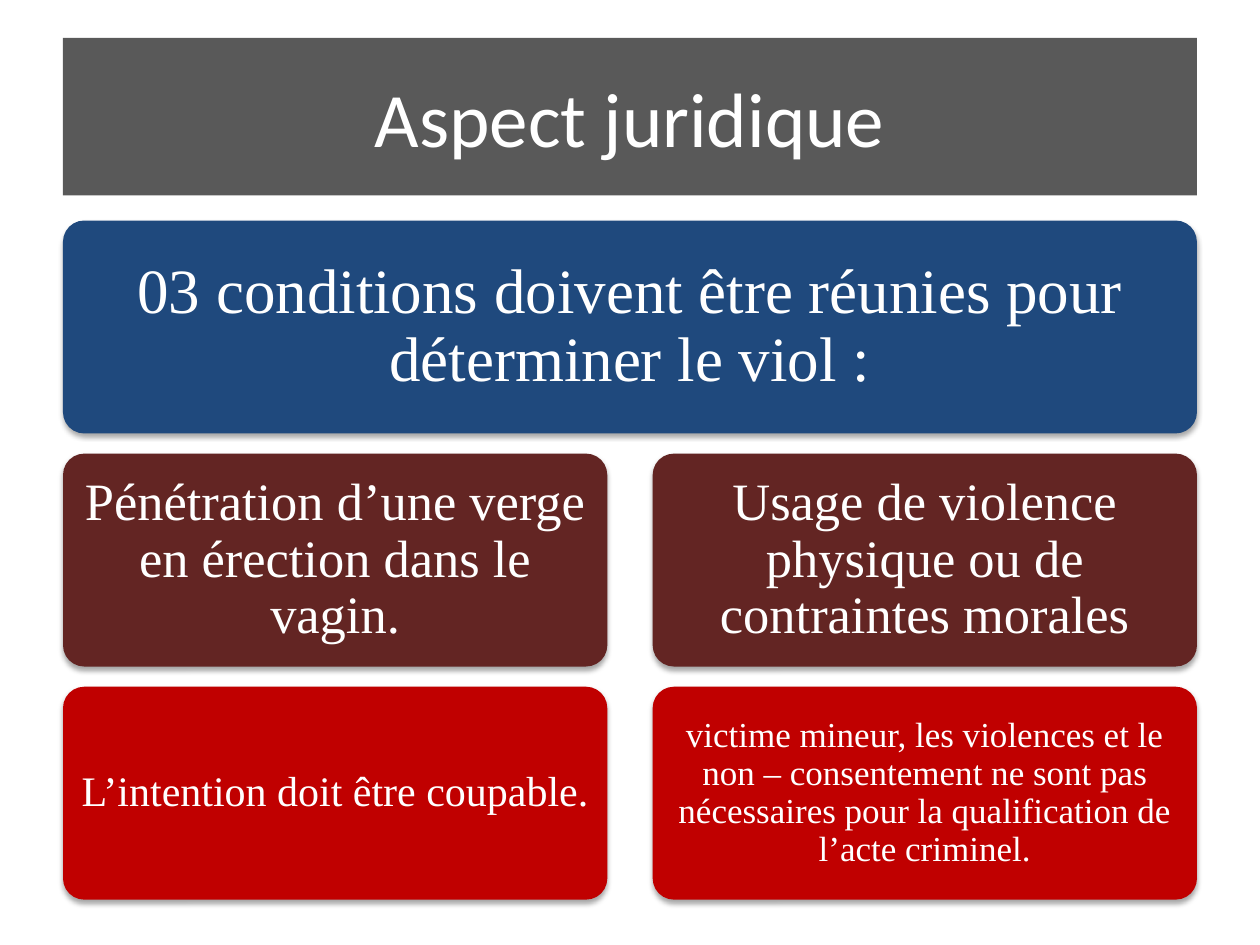
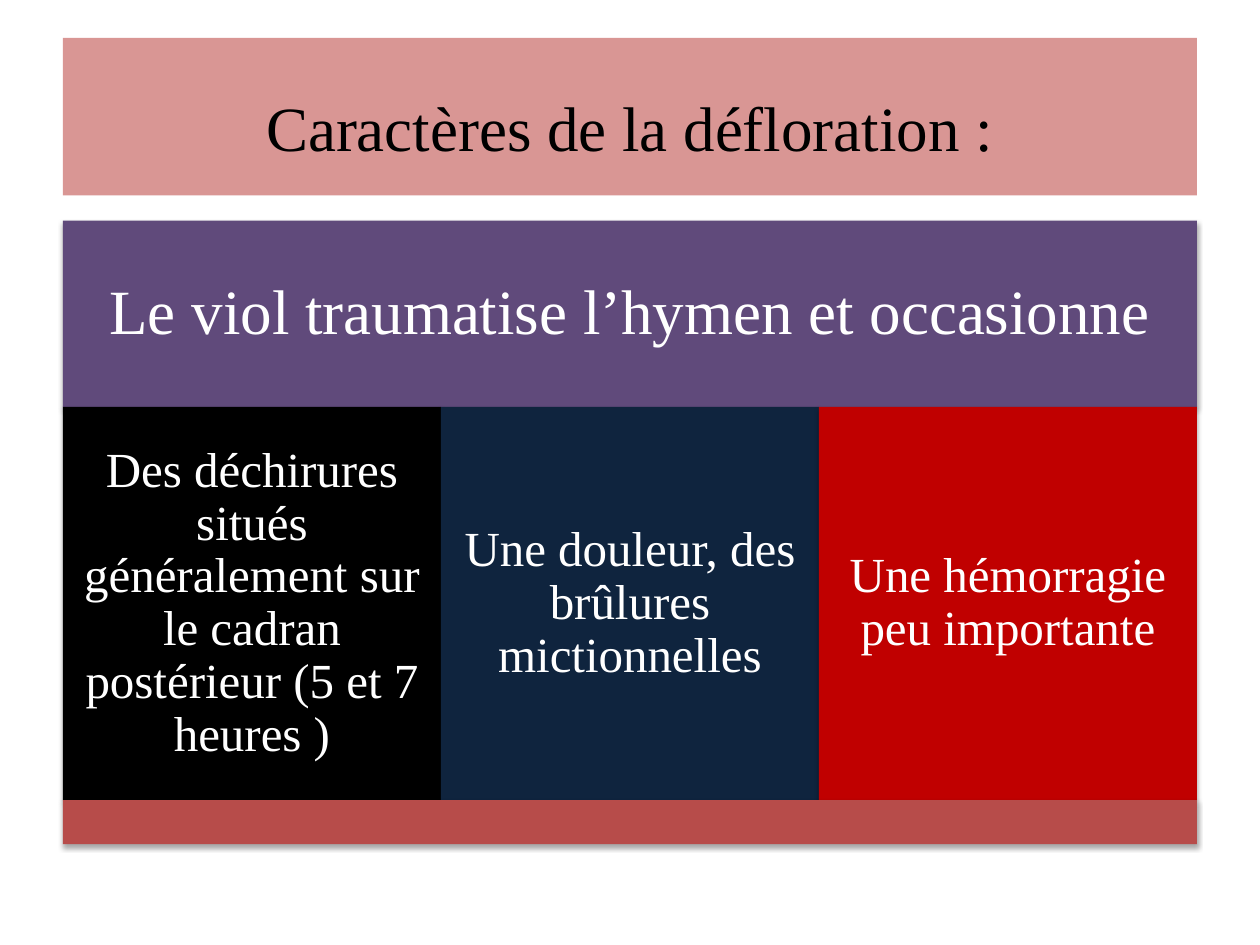
from lxml import etree
from pptx import Presentation
from pptx.dml.color import RGBColor
from pptx.enum import shapes, text
from pptx.oxml.ns import qn
from pptx.util import Inches, Pt

COLORS = {
    "white": "FFFFFF", "black": "000000", "grey": "595959", "blue": "1F497D",
    "maroon": "632523", "red": "C00000", "pink": "D99694", "purple": "604A7B",
    "navy": "0F243E", "brick": "B74C4A",
}
SERIF, SANS = "Times New Roman", "Calibri"
RECT = shapes.MSO_SHAPE.RECTANGLE
ROUNDED = shapes.MSO_SHAPE.ROUNDED_RECTANGLE
TITLE_BOX = (0.5, 0.3, 9, 1.25)
BODY_LEFT, BODY_TOP, BODY_WIDTH = 0.5, 1.75, 9


def rgb(name):
    return RGBColor.from_string(COLORS[name])


def add_shadow(sp):
    """Soft shadow falling straight down."""
    effects = sp._element.spPr.find(qn("a:effectLst"))
    shadow = etree.SubElement(effects, qn("a:outerShdw"), blurRad=str(Pt(3.1)),
                              dist=str(Pt(1.8)), dir="5400000", rotWithShape="0")
    color = etree.SubElement(shadow, qn("a:srgbClr"), val=COLORS["black"])
    etree.SubElement(color, qn("a:alpha"), val="35000")


def add_block(s, box, fill, kind=RECT, shadow=True):
    sp = s.shapes.add_shape(kind, *map(Inches, box))
    sp.fill.solid()
    sp.fill.fore_color.rgb = rgb(fill)
    sp.line.fill.background()
    sp.shadow.inherit = False
    if shadow:
        add_shadow(sp)
    if kind == ROUNDED:
        sp.adjustments[0] = 0.1
    return sp


def write(sp, words, size, inset, font=SERIF, color="white", spacing=0.9):
    tf = sp.text_frame
    tf.word_wrap = True
    tf.vertical_anchor = text.MSO_ANCHOR.MIDDLE
    tf.margin_left = tf.margin_right = Inches(inset)
    tf.margin_top = tf.margin_bottom = Inches(inset)
    p = tf.paragraphs[0]
    p.text = words
    p.alignment = text.PP_ALIGN.CENTER
    p.line_spacing = spacing
    p.font.size = Pt(size)
    p.font.name = font
    p.font.color.rgb = rgb(color)


def add_title(s, words, fill, size, font, color, drop=0):
    """Title band; drop lowers the text below the middle."""
    sp = add_block(s, TITLE_BOX, fill, shadow=False)
    write(sp, words, size, 0.05, font, color, spacing=1)
    sp.text_frame.margin_top = Inches(0.05 + 2 * drop)


def add_conditions(s, left, top, width):
    """Wide heading card above a two-by-two grid of cards."""
    height, gap, pitch = 1.69, 0.36, 1.85
    card_width = (width - gap) / 2
    heading = add_block(s, (left, top, width, height), "blue", ROUNDED)
    write(heading, "03 conditions doivent être réunies pour déterminer le viol :", 36, 0.1)
    rows = [
        ("maroon", [("Pénétration d’une verge en érection dans le vagin.", 30, 0.07),
                    ("Usage de violence physique ou de contraintes morales", 30, 0.07)]),
        ("red", [("L’intention doit être coupable.", 24, 0.03),
                 ("victime mineur, les violences et le non – consentement ne sont pas "
                  "nécessaires pour la qualification de l’acte criminel.", 20, 0.04)]),
    ]
    for row, (fill, cards) in enumerate(rows, start=1):
        for col, (words, size, inset) in enumerate(cards):
            box = (left + col * (card_width + gap), top + row * pitch, card_width, height)
            write(add_block(s, box, fill, ROUNDED), words, size, inset)


def add_consequences(s, left, top, width):
    """Heading band, three joined columns and a closing strip."""
    head_height, column_height, strip_height = 1.48, 3.12, 0.35
    heading = add_block(s, (left, top, width, head_height), "purple")
    write(heading, "Le viol traumatise l’hymen et occasionne", 36, 0.15)
    columns = [
        ("black", "Des déchirures situés généralement sur le cadran postérieur (5 et 7 heures )"),
        ("navy", "Une douleur, des brûlures mictionnelles"),
        ("red", "Une hémorragie peu importante"),
    ]
    column_width = width / len(columns)
    column_top = top + head_height
    for i, (fill, words) in enumerate(columns):
        box = (left + i * column_width, column_top, column_width, column_height)
        write(add_block(s, box, fill), words, 28, 0.12)
    add_block(s, (left, column_top + column_height, width, strip_height), "brick")


def main():
    prs = Presentation()
    prs.slide_width, prs.slide_height = Inches(10), Inches(7.5)
    blank = prs.slide_layouts[6]

    s = prs.slides.add_slide(blank)
    add_title(s, "Aspect juridique", "grey", 44, SANS, "white")
    add_conditions(s, BODY_LEFT, BODY_TOP, BODY_WIDTH)

    s = prs.slides.add_slide(blank)
    add_title(s, "Caractères de la défloration :", "pink", 36, SERIF, "black", drop=0.08)
    add_consequences(s, BODY_LEFT, BODY_TOP, BODY_WIDTH)

    prs.save("out.pptx")


if __name__ == "__main__":
    main()
